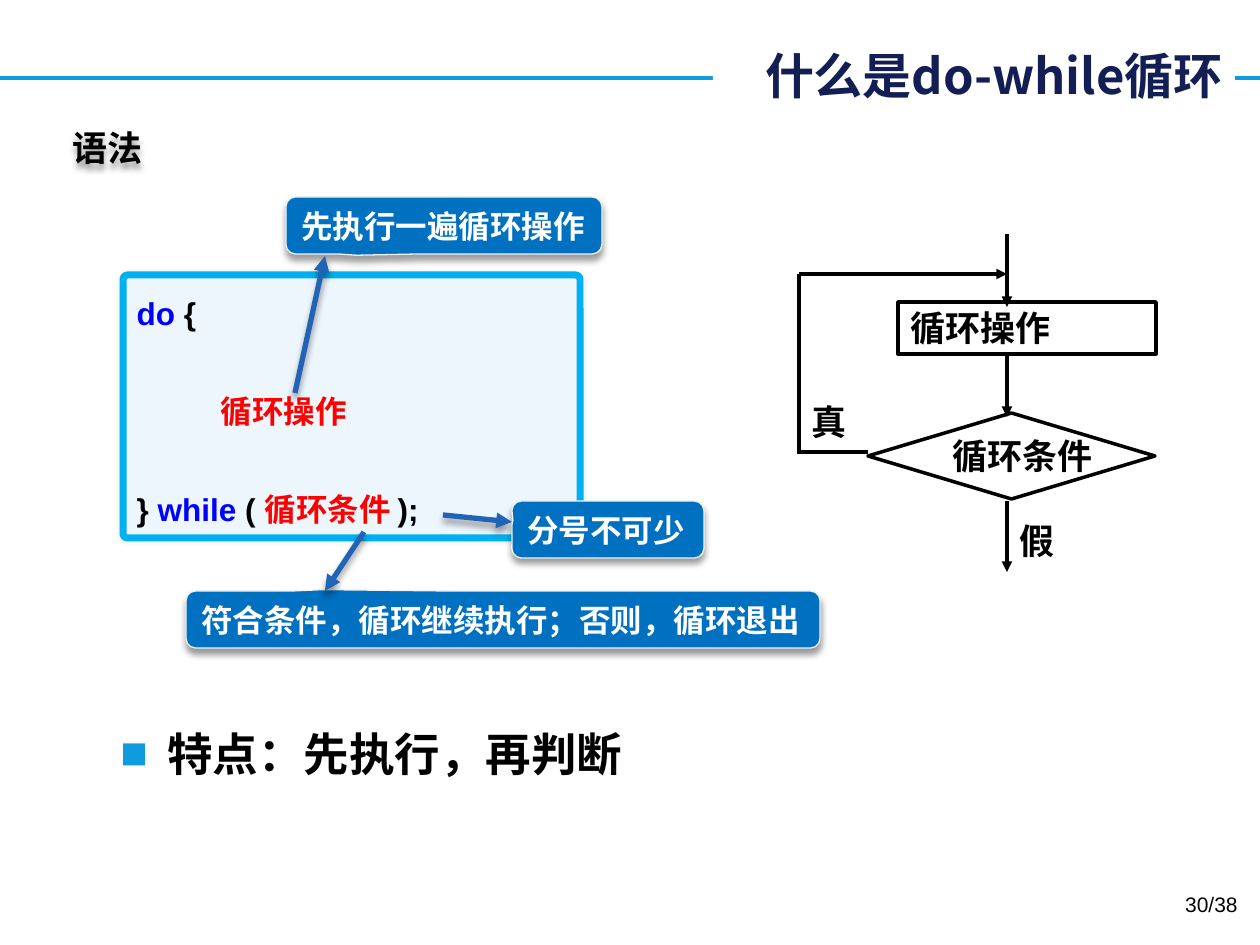
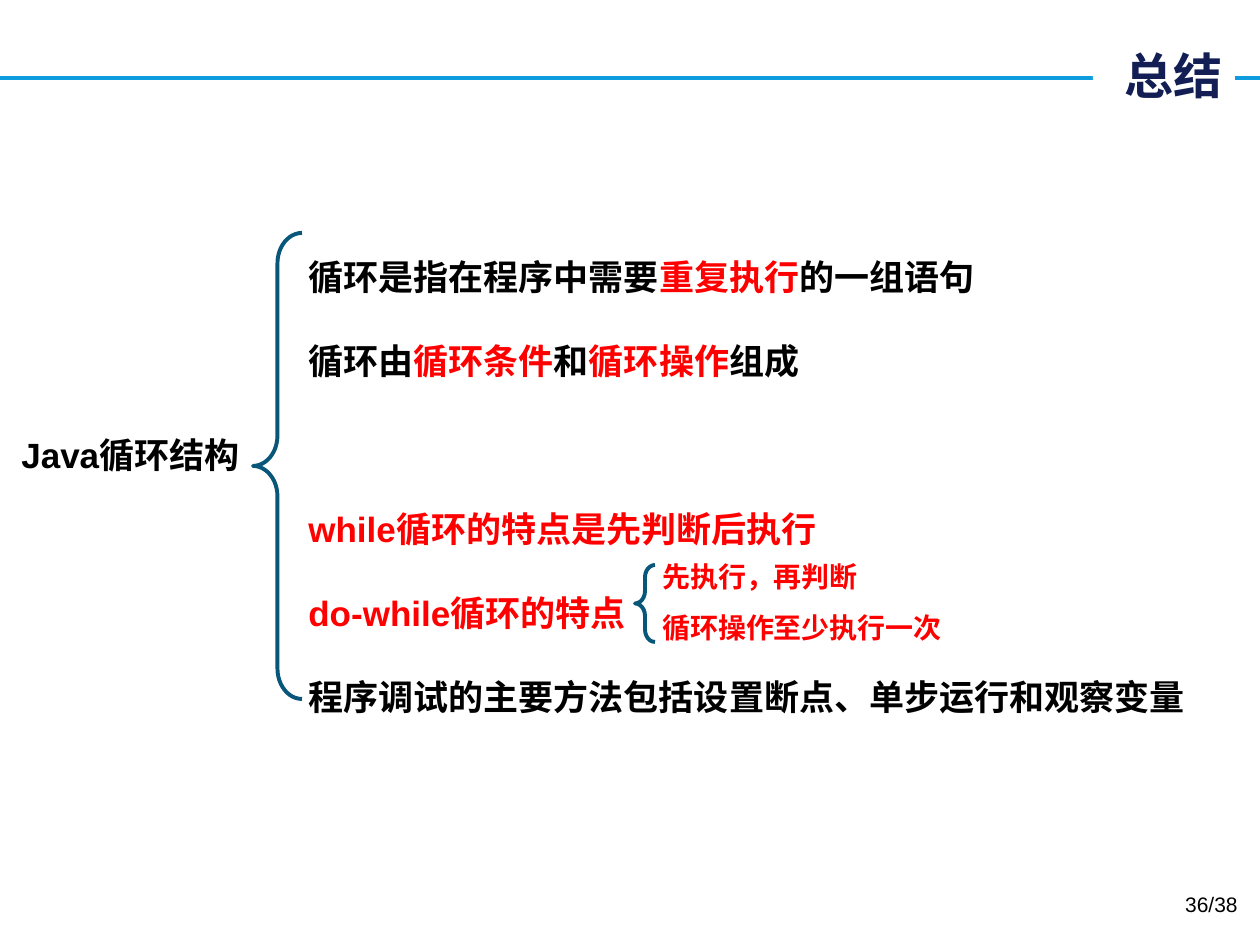
import pptx
import pptx.util
import pptx.dml.color
import pptx.enum.shapes
import pptx.enum.text
import pptx.oxml.ns
from lxml import etree

SCALE = 914400 / 126  # EMU in one px
WIDTH, HEIGHT = 1260, 945
PAGES = 38
LATIN, CJK = "Arial", "Noto Sans CJK SC"
COLORS = {
    "rule": "0E9CDE", "title": "121E54", "white": "FFFFFF", "black": "000000",
    "red": "FF0000", "keyword": "0000FF", "code_fill": "EDF5FD",
    "code_edge": "00B0F0", "callout": "0070C0", "callout_edge": "F2F2F2",
    "pointer": "2163B4", "brace": "08577A",
}
SOFT_SHADOW = dict(alpha=40, blur=4, dist=3, angle=90)
GLOW = dict(alpha=10, blur=3, dist=0, angle=0)

SHAPE = pptx.enum.shapes.MSO_SHAPE
ALIGN = pptx.enum.text.PP_ALIGN
ANCHOR = pptx.enum.text.MSO_ANCHOR


def px(length):
    return pptx.util.Emu(round(length * SCALE))


def rgb(name):
    return pptx.dml.color.RGBColor.from_string(COLORS[name])


def child(parent, tag, **attributes):
    element = etree.SubElement(parent, pptx.oxml.ns.qn(tag))
    for key, value in attributes.items():
        element.set(key, str(value))
    return element


def set_effect(item, shadow=None):
    """Replace the theme shadow by the given one, or by none."""
    effects = child(item._element.spPr, "a:effectLst")
    if shadow:
        outer = child(effects, "a:outerShdw", blurRad=pptx.util.Pt(shadow["blur"]),
                      dist=pptx.util.Pt(shadow["dist"]), dir=shadow["angle"] * 60000,
                      algn="ctr", rotWithShape=0)
        color = child(outer, "a:srgbClr", val=COLORS["black"])
        child(color, "a:alpha", val=shadow["alpha"] * 1000)


def write_text(frame, paragraphs, size=20, color="black", bold=True, font=LATIN,
               align=ALIGN.LEFT, anchor=ANCHOR.TOP, wrap=True, line=None,
               before=None, margins=None, bullet=None):
    """Each paragraph is a string or a list of (text, color) runs.
    before and margins map a paragraph number to points and px."""
    frame.word_wrap = wrap
    frame.vertical_anchor = anchor
    for number, content in enumerate(paragraphs):
        paragraph = frame.add_paragraph() if number else frame.paragraphs[0]
        paragraph.alignment = align
        paragraph.line_spacing = pptx.util.Pt(line or size * 1.2)
        paragraph.space_before = pptx.util.Pt((before or {}).get(number, 0))
        properties = paragraph._p.get_or_add_pPr()
        margin = px((margins or {}).get(number, 0))
        properties.set("marL", str(margin))
        properties.set("indent", str(-margin if bullet else 0))
        if bullet:
            child(child(properties, "a:buClr"), "a:srgbClr", val=COLORS["rule"])
            child(properties, "a:buFont", typeface=LATIN)
            child(properties, "a:buChar", char=bullet)
        else:
            child(properties, "a:buNone")
        runs = [(content, color)] if isinstance(content, str) else content
        for text, run_color in runs:
            run = paragraph.add_run()
            run.text = text
            run.font.size = pptx.util.Pt(size)
            run.font.bold = bold
            run.font.name = font
            run.font.color.rgb = rgb(run_color)
            child(run._r.get_or_add_rPr(), "a:ea", typeface=CJK)


def add_label(slide, box, paragraphs, **style):
    label = slide.shapes.add_textbox(*map(px, box))
    write_text(label.text_frame, paragraphs, **style)
    return label


def add_figure(slide, kind, box, edge, weight, fill=None, adjust=(), shadow=None):
    figure = slide.shapes.add_shape(kind, *map(px, box))
    for number, value in enumerate(adjust):
        figure.adjustments[number] = value
    if fill:
        figure.fill.solid()
        figure.fill.fore_color.rgb = rgb(fill)
    else:
        figure.fill.background()
    figure.line.color.rgb = rgb(edge)
    figure.line.width = pptx.util.Pt(weight)
    set_effect(figure, shadow)
    return figure


def add_line(slide, start, end, color="black", weight=2, arrow=False, shadow=None):
    line = slide.shapes.add_connector(pptx.enum.shapes.MSO_CONNECTOR.STRAIGHT,
                                      *map(px, (*start, *end)))
    line.line.color.rgb = rgb(color)
    line.line.width = pptx.util.Pt(weight)
    if arrow:
        child(line.line._get_or_add_ln(), "a:tailEnd", type="triangle")
    set_effect(line, shadow)
    return line


def add_page(deck, title, title_width, page):
    """Shared frame: rule behind the title, title at right, page number."""
    slide = deck.slides.add_slide(deck.slide_layouts[5])
    rule = add_line(slide, (0, 78), (WIDTH, 78), color="rule", weight=2.25)
    slide.shapes._spTree.insert(2, rule._element)

    heading = slide.shapes.title
    heading.left, heading.top = px(1235 - title_width), px(39)
    heading.width, heading.height = px(title_width), px(72)
    heading.fill.solid()
    heading.fill.fore_color.rgb = rgb("white")
    write_text(heading.text_frame, [title], size=28, color="title", font=CJK,
               align=ALIGN.RIGHT, anchor=ANCHOR.MIDDLE)

    add_label(slide, (956, 885, 294, 50), [f"{page}/{PAGES}"], size=12,
              bold=False, align=ALIGN.RIGHT)
    return slide


def add_syntax(slide, left, top, width, height):
    """Code box with callouts and their pointers."""
    code = add_figure(slide, SHAPE.ROUNDED_RECTANGLE, (left, top, width, height),
                      "code_edge", 4, "code_fill", [0.017], GLOW)
    write_text(code.text_frame, [
        [("do", "keyword"), (" {", "black")],
        [("循环操作", "red")],
        [("} ", "black"), ("while", "keyword"), (" ( ", "black"),
         ("循环条件 ", "red"), (");", "black")],
    ], size=18, line=28, before={1: 28, 2: 28}, margins={1: 84})

    callouts = [
        ("先执行一遍循环操作", 163, -78, 316, (-0.276, 0.522)),
        ("符合条件，循环继续执行；否则，循环退出", 63, 316, 634, (-0.284, -0.525)),
        ("分号不可少", 389, 226, 192, (-0.495, -0.161)),
    ]
    for text, x, y, callout_width, tip in callouts:
        callout = add_figure(slide, SHAPE.ROUNDED_RECTANGULAR_CALLOUT,
                             (left + x, top + y, callout_width, 57),
                             "callout_edge", 0.75, "callout", (*tip, 0.167),
                             SOFT_SHADOW)
        write_text(callout.text_frame, [text], size=18, color="white",
                   anchor=ANCHOR.MIDDLE, wrap=False)

    pointers = [(172, 118, 202, -19), (320, 240, 389, 247), (241, 257, 202, 316)]
    for x1, y1, x2, y2 in pointers:
        add_line(slide, (left + x1, top + y1), (left + x2, top + y2),
                 color="pointer", weight=3, arrow=True, shadow=SOFT_SHADOW)


def add_flowchart(slide, left, top):
    """Loop flow: operation, condition and the way back."""
    steps = [
        ("循环操作", SHAPE.FLOWCHART_PROCESS, 99, 68, 258, 52),
        ("循环条件", SHAPE.FLOWCHART_DECISION, 69, 179, 287, 86),
    ]
    for text, kind, x, y, width, height in steps:
        step = add_figure(slide, kind, (left + x, top + y, width, height), "black", 2)
        write_text(step.text_frame, [text], anchor=ANCHOR.MIDDLE, wrap=False)

    trunk = 208  # x of the downward flow
    flows = [
        (trunk, 0, trunk, 73, True),
        (trunk, 120, trunk, 183, True),
        (trunk, 267, trunk, 338, True),
        (69, 218, 0, 218, False),
        (0, 220, 0, 40, False),
        (0, 40, trunk, 40, True),
    ]
    for x1, y1, x2, y2, arrow in flows:
        add_line(slide, (left + x1, top + y1), (left + x2, top + y2), arrow=arrow)

    for answer, x, y in [("真", 0, 159), ("假", trunk, 278)]:
        add_label(slide, (left + x, top + y, 60, 54), [answer], line=25, wrap=False)


def add_brace(slide, box, curve):
    add_figure(slide, SHAPE.LEFT_BRACE, box, "brace", 2.25, adjust=[curve, 0.5])


def add_summary(slide, left, top):
    """Topic, brace and points, with a nested brace for do-while."""
    add_label(slide, (left, top + 194, 251, 55), ["Java循环结构"], align=ALIGN.CENTER)
    add_brace(slide, (left + 248, top, 49, 466), 0.621)
    add_label(slide, (left + 291, top - 26, 905, 564), [
        [("循环是指在程序中需要", "black"), ("重复执行", "red"), ("的一组语句", "black")],
        [("循环由", "black"), ("循环条件", "red"), ("和", "black"),
         ("循环操作", "red"), ("组成", "black")],
        [("while循环的特点是先判断后执行", "red")],
        [("do-while循环的特点", "red")],
        "程序调试的主要方法包括设置断点、单步运行和观察变量",
    ], line=48, before={2: 48})
    add_brace(slide, (left + 630, top + 332, 20, 77), 0.619)
    add_label(slide, (left + 645, top + 319, 374, 97),
              ["先执行，再判断", "循环操作至少执行一次"],
              size=16, color="red", line=20, before={1: 9})


def main():
    deck = pptx.Presentation()
    deck.slide_width, deck.slide_height = px(WIDTH), px(HEIGHT)

    # do-while syntax
    syntax = add_page(deck, "什么是do-while循环", 522, 30)
    section = add_label(syntax, (60, 120, 97, 55), ["语法"], font=CJK,
                        anchor=ANCHOR.MIDDLE, wrap=False)
    set_effect(section, SOFT_SHADOW)
    add_syntax(syntax, 123, 275, 457, 263)
    add_flowchart(syntax, 799, 234)
    add_label(syntax, (108, 718, 605, 79), ["特点：先执行，再判断"], size=26,
              line=32, margins={0: 47}, bullet="■")

    # Summary
    summary = add_page(deck, "总结", 142, 36)
    add_summary(summary, 5, 233)

    deck.save("out.pptx")


if __name__ == "__main__":
    main()
